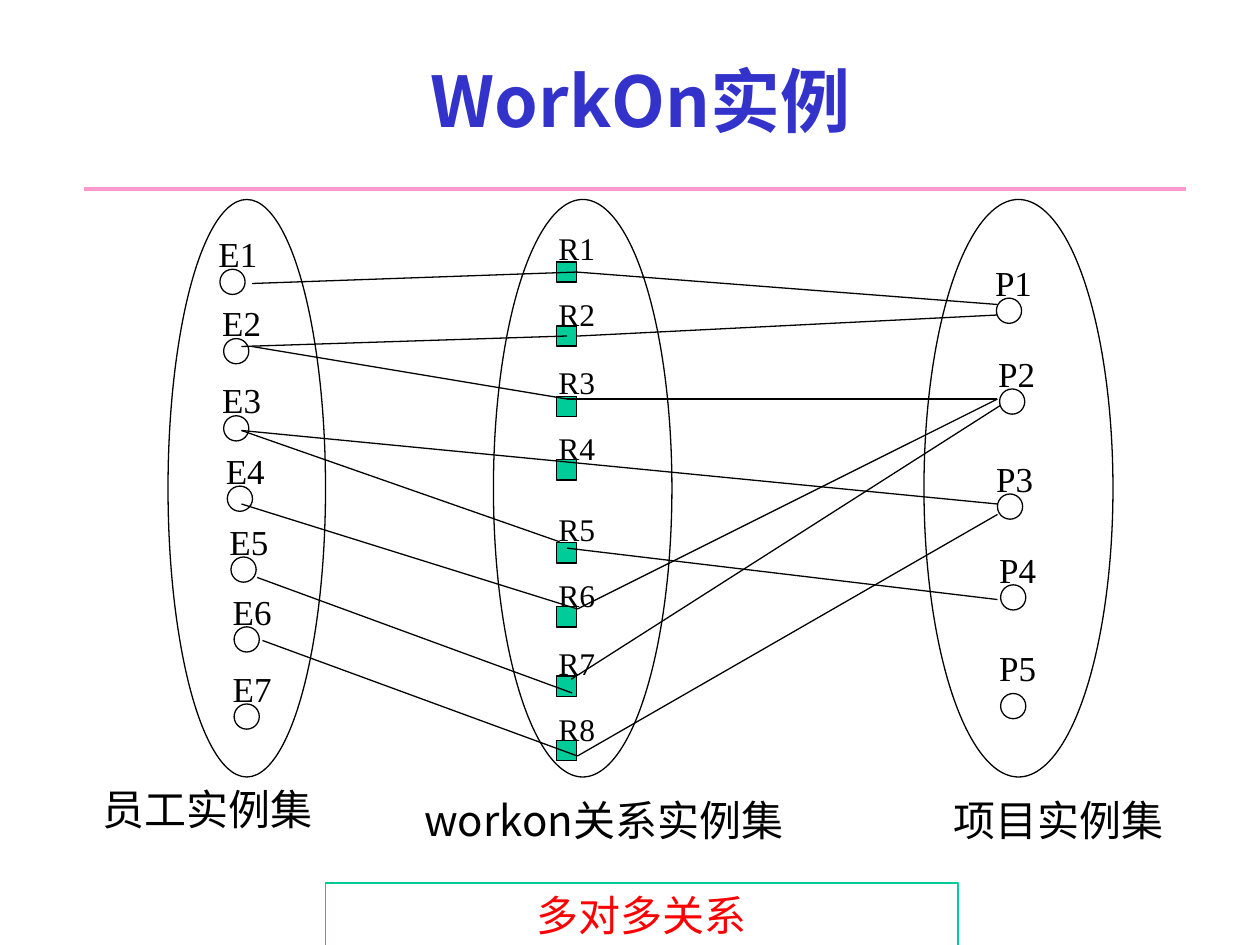
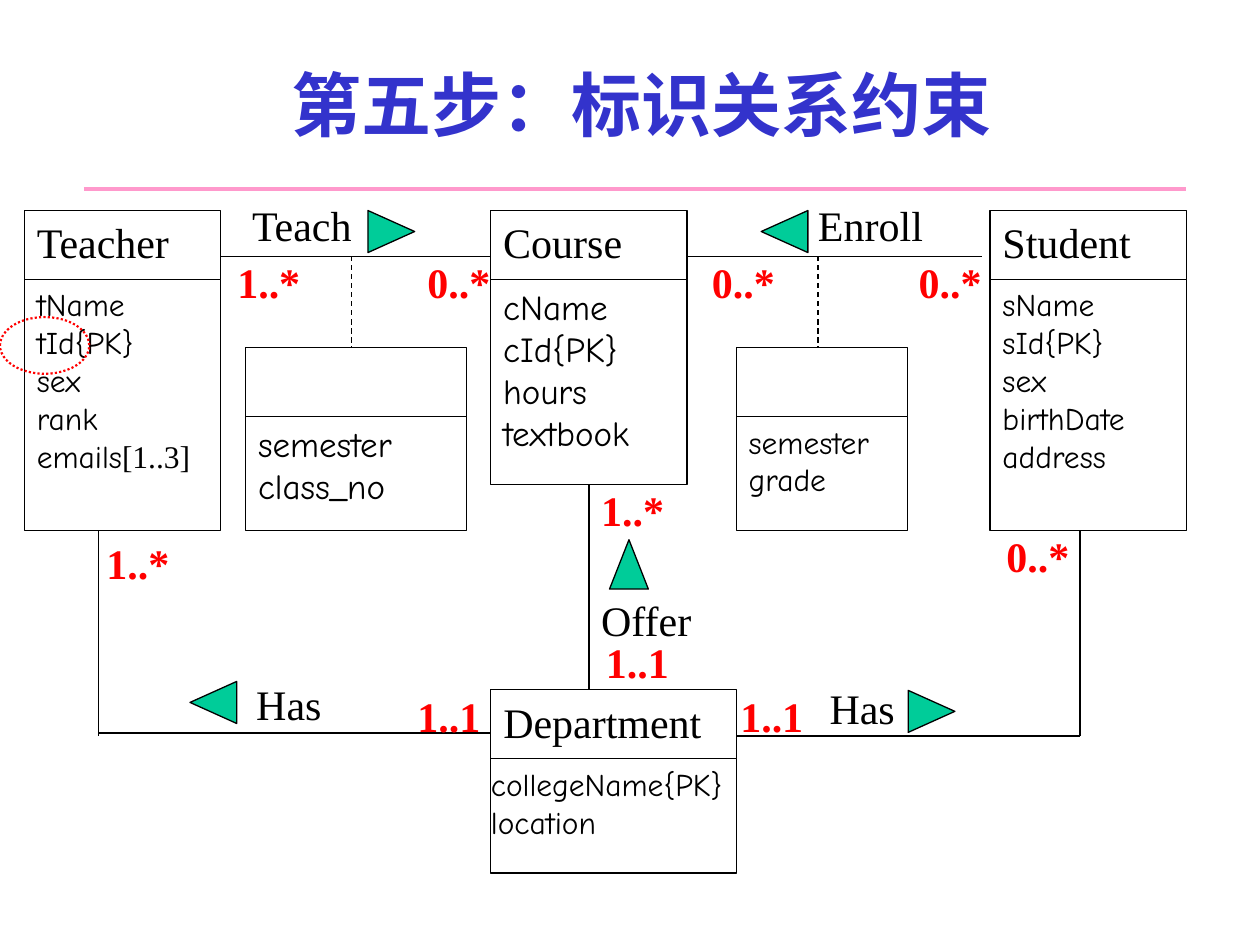
from dataclasses import dataclass
from typing import NamedTuple

from lxml import etree
from pptx import Presentation, util as u
from pptx.dml.color import RGBColor
from pptx.enum import dml, shapes, text
from pptx.oxml.ns import qn

COLOURS = {"ink": "000000", "paper": "FFFFFF", "title": "3333CC",
           "rule": "FF99CC", "accent": "00CC99", "alert": "FF0000"}
HAN, SERIF, COMIC = "Noto Sans CJK SC", "Times New Roman", "Comic Neue"
WIDTH, HEIGHT = u.Inches(10), u.Inches(7.5)
COLUMNS, ROWS = 120, 90
LEFT, CENTER, JUSTIFY = (text.PP_ALIGN.LEFT, text.PP_ALIGN.CENTER,
                         text.PP_ALIGN.JUSTIFY)
SHAPE = shapes.MSO_SHAPE
JOIN_REACH = 0.2
HEADER = 6.55


class Area(NamedTuple):
    left: float
    top: float
    width: float
    height: float

    def side_middles(self):
        middle, centre = self.left + self.width / 2, self.top + self.height / 2
        return ((middle, self.top), (self.left, centre),
                (middle, self.top + self.height), (self.left + self.width, centre))


class Run(NamedTuple):
    text: str
    font: str


class Label(NamedTuple):
    text: str
    left: float
    top: float
    width: float


@dataclass
class Member:
    name: str
    left: float
    top: float
    label_left: float
    label_top: float
    label_width: float


@dataclass
class Entity:
    name: str
    left: float
    top: float
    width: float
    body: float
    attributes: list
    size: int = 18
    inset: float = 0.1


def col(value: float) -> int:
    return round(WIDTH * value / COLUMNS)


def row(value: float) -> int:
    return round(HEIGHT * value / ROWS)


def place(area: Area) -> tuple:
    return col(area.left), row(area.top), col(area.width), row(area.height)


def rgb(name: str) -> RGBColor:
    return RGBColor.from_string(COLOURS[name])


def write(shape, paragraphs, *, font=SERIF, size=24, colour="ink", bold=False,
          align=LEFT, anchor=text.MSO_ANCHOR.TOP, wrap=True, grow=False,
          inset=(0.1, 0.05)):
    frame = shape.text_frame
    frame.word_wrap = wrap
    frame.vertical_anchor = anchor
    frame.auto_size = (text.MSO_AUTO_SIZE.SHAPE_TO_FIT_TEXT if grow
                       else text.MSO_AUTO_SIZE.NONE)
    frame.margin_left = frame.margin_right = u.Inches(inset[0])
    frame.margin_top = frame.margin_bottom = u.Inches(inset[1])
    for index, content in enumerate(paragraphs):
        paragraph = frame.add_paragraph() if index else frame.paragraphs[0]
        paragraph.alignment = align
        runs = [Run(content, font)] if isinstance(content, str) else content
        for part in runs:
            run = paragraph.add_run()
            run.text = part.text
            run.font.name, run.font.size = part.font, u.Pt(size)
            run.font.bold, run.font.color.rgb = bold, rgb(colour)
            east_asian = etree.SubElement(run.font._element, qn("a:ea"))
            east_asian.set("typeface", part.font)


def add_text(slide, area: Area, content: str, **style):
    write(slide.shapes.add_textbox(*place(area)), [content], **style)


def finish(shape, fill=None, line="ink", weight=0.75):
    shape.shadow.inherit = False
    if fill:
        shape.fill.solid()
        shape.fill.fore_color.rgb = rgb(fill)
    else:
        shape.fill.background()
    shape.line.color.rgb = rgb(line)
    shape.line.width = u.Pt(weight)
    return shape


def add_figure(slide, kind, area: Area, **look):
    return finish(slide.shapes.add_shape(kind, *place(area)), **look)


def connect(slide, start, end, boxes=(), colour="ink", weight=0.75, dash=None):
    line = slide.shapes.add_connector(
        shapes.MSO_CONNECTOR.STRAIGHT,
        col(start[0]), row(start[1]), col(end[0]), row(end[1]))
    line.line.color.rgb = rgb(colour)
    line.line.width = u.Pt(weight)
    if dash:
        line.line.dash_style = dash
    etree.SubElement(line._element.spPr, qn("a:effectLst"))
    for point, join in ((start, line.begin_connect), (end, line.end_connect)):
        sites = ((box, site) for box, area in boxes
                 for site, (x, y) in enumerate(area.side_middles())
                 if max(abs(x - point[0]), abs(y - point[1])) < JOIN_REACH)
        found = next(sites, None)
        if found:
            join(*found)


def start_slide(deck, title: str, title_left: float, title_top: float):
    slide = deck.slides.add_slide(deck.slide_layouts[6])
    connect(slide, (8, 18), (113, 18), colour="rule", weight=2)
    add_text(slide, Area(title_left, title_top, 102, 15), title, font=HAN, size=40,
             colour="title", bold=True, align=CENTER,
             anchor=text.MSO_ANCHOR.MIDDLE)
    return slide


def add_member(slide, member: Member, kind, side: float, size: int, fill=None):
    area = Area(member.left, member.top, side, side)
    marker = add_figure(slide, kind, area, fill=fill)
    add_text(slide, Area(member.label_left, member.label_top, member.label_width,
                         size * 0.26),
             member.name, size=size, wrap=False, grow=True)
    return marker, area


def build_instances(deck):
    slide = start_slide(deck, "WorkOn实例", 10, 2)
    for left, width in ((16, 15), (47, 17), (88, 18)):
        add_figure(slide, SHAPE.OVAL, Area(left, 19, width, 55))

    employees = zip((20.95, 21.3, 21.3, 21.65, 22, 22.3, 22.3),
                    (25.65, 32.25, 39.6, 46.3, 53.05, 59.7, 67.05))
    projects = zip((94.9, 95.2, 95, 95.3, 95.3), (28.4, 37.05, 47.05, 55.7, 66.05))
    for prefix, places, width in (("E", employees, 6.2), ("P", projects, 5.9)):
        for number, (left, top) in enumerate(places, 1):
            name = f"{prefix}{number}"
            rise = 5.1 if name == "P5" else 4.1
            add_member(slide,
                       Member(name, left, top, left - 1.32, top - rise, width),
                       SHAPE.OVAL, 2.4, 20)

    relation_tops = ((24.95, 21.2), (31.05, 27.55), (37.75, 34), (43.8, 40.3),
                     (51.7, 48), (57.8, 54.25), (64.4, 60.7), (70.55, 67))
    relations = [add_member(slide, Member(f"R{number}", 53, top, 52, label_top, 6),
                            SHAPE.RECTANGLE, 1.92, 18, "accent")
                 for number, (top, label_top) in enumerate(relation_tops, 1)]

    routes = (
        ((24, 27), (55, 26), (55, 26), (95, 29)),
        ((23, 33), (54, 32), (55, 32), (95, 30)),
        ((24, 33), (54, 38), (54, 38), (95, 38)),
        ((23, 41), (54, 44), (54, 44), (95, 48)),
        ((23, 41), (53.3, 51.6), (54, 52.2), (95, 57.1)),
        ((23, 48), (55, 58), (55, 58), (95, 38)),
        ((24.5, 55), (54.5, 66), (54.4, 64.7), (95.3, 38.6)),
        ((25, 61), (55, 72), (55, 72), (95, 49)),
    )
    for employee, arrival, departure, project in routes:
        connect(slide, employee, arrival, relations)
        connect(slide, departure, project, relations)

    for caption in (Label("员工实例集", 8.6, 74, 22.4),
                    Label("项目实例集", 89.6, 75.1, 22.4)):
        add_text(slide, Area(caption.left, caption.top, caption.width, 6),
                 caption.text, font=HAN, wrap=False, grow=True)
    add_text(slide, Area(39.25, 75.1, 44.4, 6), "workon关系实例集", font=HAN,
             grow=True)
    conclusion = add_figure(slide, SHAPE.RECTANGLE, Area(31, 84.1, 60.25, 6),
                            line="accent")
    write(conclusion, ["多对多关系"], font=HAN, colour="alert", align=CENTER,
          grow=True)


def add_entity(slide, entity: Entity) -> list:
    header_area = Area(entity.left, entity.top, entity.width, HEADER)
    body_area = Area(entity.left, entity.top + HEADER, entity.width, entity.body)
    header = add_figure(slide, SHAPE.RECTANGLE, header_area, fill="paper")
    if entity.name:
        write(header, [entity.name], align=JUSTIFY)
    body = add_figure(slide, SHAPE.RECTANGLE, body_area, fill="paper")
    write(body, entity.attributes, font=COMIC, size=entity.size, align=JUSTIFY,
          inset=(entity.inset, 0.05))
    return [(header, header_area), (body, body_area)]


def add_direction(slide, left: float, top: float, points_right: bool):
    base, tip = (left, left + 4.45) if points_right else (left + 4.45, left)
    outline = slide.shapes.build_freeform(col(base), row(top))
    outline.add_line_segments([(col(tip), row(top + 2)), (col(base), row(top + 4))])
    finish(outline.convert_to_shape(), fill="accent")


def build_constraints(deck):
    slide = start_slide(deck, "第五步：标识关系约束", 10.1, 2.4)
    entities = (
        Entity("Student", 94.3, 20.05, 18.7, 23.9,
               ["sName", "sId{PK}", "sex", "birthDate address"]),
        Entity("Department", 46.75, 65.7, 23.4, 10.9,
               ["collegeName{PK}", "location"], inset=0),
        Entity("Course", 46.75, 20.05, 18.7, 19.55,
               ["cName", "cId{PK}", "hours", "textbook"], size=20),
        Entity("Teacher", 2.33, 20.05, 18.7, 23.9,
               ["tName", "tId{PK}", "sex", "rank",
                [Run("emails", COMIC), Run("[1..3]", SERIF)]]),
        Entity("", 70.13, 33.1, 16.3, 10.9, ["semester", "grade"]),
        Entity("", 23.4, 33.1, 21, 10.9, ["semester", "class_no"], size=20),
    )
    boxes = [box for entity in entities for box in add_entity(slide, entity)]

    for start, end in (((21, 24.4), (46.75, 24.4)), ((65.45, 24.4), (93.5, 24.4)),
                       ((56.1, 46.15), (56.1, 65.7)),
                       ((9.4, 50.5), (9.4, 70.1)), ((9.4, 69.8), (46.75, 69.8)),
                       ((102.85, 50.5), (102.85, 70.1)),
                       ((70.15, 70.1), (102.85, 70.1))):
        connect(slide, start, end, boxes)
    for column in (77.9, 33.5):
        connect(slide, (column, 24.4), (column, 33.1), dash=dml.MSO_LINE.DASH)

    for left, top, points_right in ((35.05, 20.05, True), (72.5, 20.05, False),
                                    (86.5, 65.75, True), (18.1, 64.9, False)):
        add_direction(slide, left, top, points_right)
    offer = add_figure(slide, SHAPE.FLOWCHART_MERGE, Area(58.05, 51.4, 3.7, 4.7),
                       fill="accent")
    offer.rotation = 180

    relationships = (Label("Teach", 24, 19, 12.8), Label("Enroll", 77.9, 19, 12.1),
                     Label("Offer", 57.25, 56.6, 11.8), Label("Has", 24.4, 64.65, 12.6),
                     Label("Has", 79, 65, 12.1))
    multiplicities = (
        Label("1..*", 22.6, 24.4, 9.4), Label("0..*", 40.7, 24.4, 7.1),
        Label("0..*", 67.8, 24.4, 9.4), Label("0..*", 87.5, 24.4, 7),
        Label("1..*", 57.25, 46.15, 7.1), Label("1..1", 57.7, 60.65, 9.4),
        Label("1..*", 10.13, 51.15, 9.4), Label("0..*", 95.85, 50.5, 7),
        Label("1..1", 39.75, 65.75, 7), Label("1..1", 70.5, 65.75, 7.1))
    for labels, height, style in (
            (relationships, 5.4, {}),
            (multiplicities, 4.3, {"colour": "alert", "bold": True})):
        for label in labels:
            add_text(slide, Area(label.left, label.top, label.width, height),
                     label.text, align=JUSTIFY, inset=(0, 0), **style)

    key_mark = add_figure(slide, SHAPE.OVAL, Area(0, 30.2, 8.5, 5.4),
                          line="alert", weight=1.25)
    key_mark.line.dash_style = dml.MSO_LINE.ROUND_DOT


def main():
    deck = Presentation()
    deck.slide_width, deck.slide_height = WIDTH, HEIGHT
    build_instances(deck)
    build_constraints(deck)
    deck.save("out.pptx")


if __name__ == "__main__":
    main()
